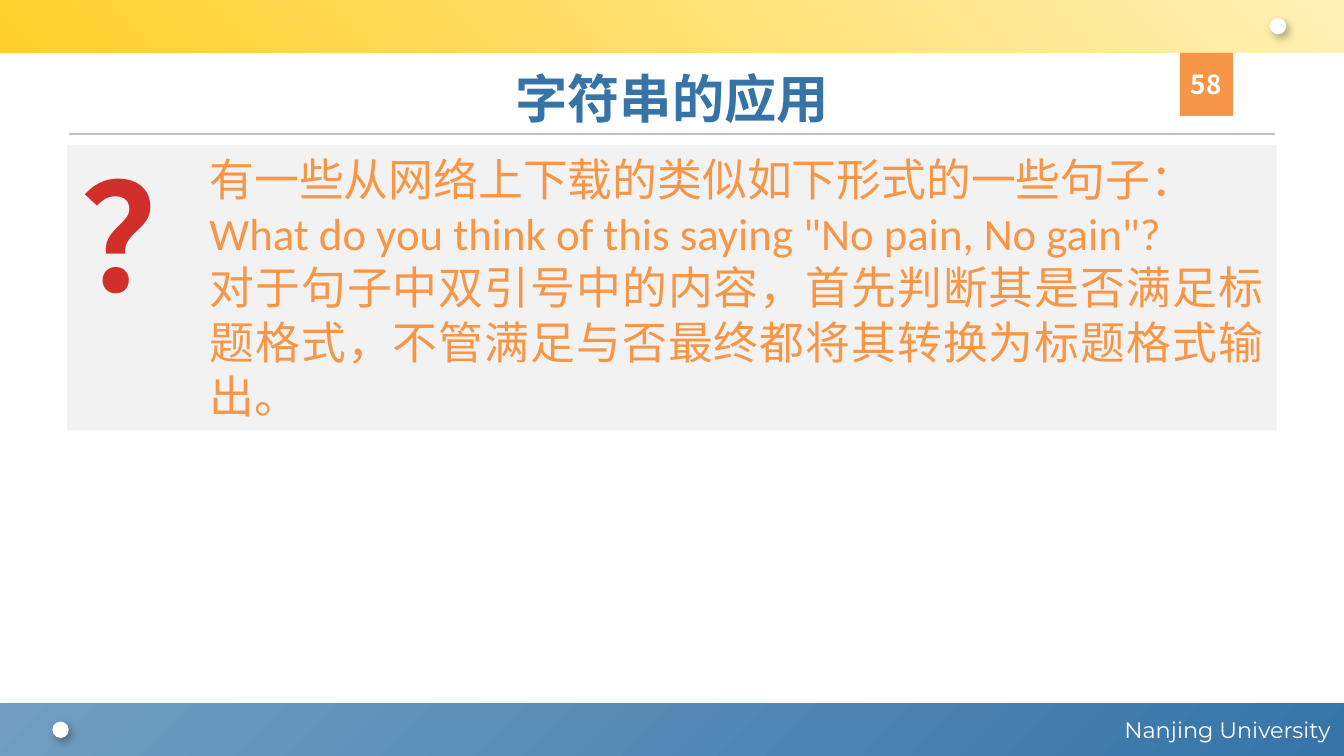
from lxml import etree
from pptx import Presentation
from pptx import util as u
from pptx.dml.color import RGBColor
from pptx.enum import shapes, text
from pptx.oxml import parse_xml
from pptx.oxml.ns import qn

# Content
TITLE = "字符串的应用"
PAGE = "58"
FOOTER = "Nanjing University"
QUESTION_MARK = "？"
CJK = "Noto Sans CJK SC"
BODY = [
    ("有一些从网络上下载的类似如下形式的一些句子：", CJK),
    ('What do you think of this saying "No pain, No gain"?', "Calibri"),
    ("对于句子中双引号中的内容，首先判断其是否满足标题格式，"
     "不管满足与否最终都将其转换为标题格式输出。", CJK),
]

COLORS = {
    "blue": "3674A8", "light blue": "719EC2",
    "yellow": "FFD02A", "light yellow": "FFF0B6",
    "orange": "F79646", "red": "D02F2C",
    "panel": "F2F2F2", "rule": "BFBFBF", "white": "FFFFFF",
}
ALIGN = text.PP_ALIGN

# Layout, in centimetres
WIDTH, HEIGHT = 25.4, 14.29
BAND = 1.0
MARGIN = 1.27
INNER = WIDTH - 2 * MARGIN
RULE_Y = 2.54
PANEL_TOP, PANEL_HEIGHT = 2.74, 5.39
BODY_LEFT = 3.71
DOT = 0.31


def color(name):
    return RGBColor.from_string(COLORS[name])


def box(*lengths):
    return [u.Cm(length) for length in lengths]


def add_shadow(shape, alpha, blur, distance, angle):
    effects = parse_xml(
        '<a:effectLst xmlns:a="http://schemas.openxmlformats.org/drawingml/2006/main">'
        f'<a:outerShdw blurRad="{u.Pt(blur)}" dist="{u.Pt(distance)}" dir="{angle * 60000}" '
        f'algn="tl" rotWithShape="0"><a:srgbClr val="000000"><a:alpha val="{alpha * 1000}"/>'
        '</a:srgbClr></a:outerShdw></a:effectLst>')
    properties = shape._element.spPr
    properties.remove(properties.find(qn("a:effectLst")))
    properties.append(effects)


def add_block(slide, kind, bounds, fill, angle=0):
    """Add a borderless shape; a pair of colour names gives a gradient."""
    shape = slide.shapes.add_shape(kind, *box(*bounds))
    shape.shadow.inherit = False
    shape.line.fill.background()
    if isinstance(fill, tuple):
        shape.fill.gradient()
        shape.fill.gradient_angle = angle
        for stop, name, position in zip(shape.fill.gradient_stops, fill, (0, 1)):
            stop.color.rgb = color(name)
            stop.position = position
    else:
        shape.fill.solid()
        shape.fill.fore_color.rgb = color(fill)
    return shape


def write(shape, content, font=CJK, size=24, fill="white", bold=False,
          align=ALIGN.CENTER, anchor=text.MSO_ANCHOR.MIDDLE, spacing=None):
    """Write one text, or a list of (text, font) paragraphs."""
    frame = shape.text_frame
    frame.word_wrap = True
    frame.auto_size = text.MSO_AUTO_SIZE.NONE
    frame.vertical_anchor = anchor
    paragraphs = [(content, font)] if isinstance(content, str) else content
    for index, (line, face) in enumerate(paragraphs):
        paragraph = frame.add_paragraph() if index else frame.paragraphs[0]
        paragraph.alignment = align
        if spacing:
            paragraph.line_spacing = u.Pt(spacing)
        run = paragraph.add_run()
        run.text = line
        run.font.size = u.Pt(size)
        run.font.bold = bold
        run.font.color.rgb = color(fill)
        run.font.name = face
        latin = run.font._element.find(qn("a:latin"))
        east_asian = etree.Element(qn("a:ea"), typeface=face)
        latin.addnext(east_asian)


def main():
    presentation = Presentation()
    presentation.slide_width, presentation.slide_height = box(WIDTH, HEIGHT)
    slide = presentation.slides.add_slide(presentation.slide_layouts[5])
    rectangle, oval = shapes.MSO_SHAPE.RECTANGLE, shapes.MSO_SHAPE.OVAL

    # Bands at the bottom and the top
    footer = add_block(slide, rectangle, (0, HEIGHT - BAND, WIDTH, BAND),
                       ("light blue", "blue"), angle=315)
    add_shadow(footer, 38, 3.1, 1.6, 90)
    write(footer, FOOTER, font="Montserrat", size=12, align=ALIGN.RIGHT)
    add_block(slide, rectangle, (0, 0, WIDTH, BAND), ("yellow", "light yellow"), angle=45)

    # Dots in the bands
    for left, top in ((24.0, 0.34), (0.99, 13.64)):
        dot = add_block(slide, oval, (left, top, DOT, DOT), "white")
        add_shadow(dot, 30, 4.5, 2.6, 53)

    # Rule under the title
    rule = slide.shapes.add_connector(shapes.MSO_CONNECTOR.STRAIGHT,
                                      *box(1.3, RULE_Y, WIDTH - 1.3, RULE_Y))
    rule.line.color.rgb = color("rule")
    rule.line.width = u.Pt(1)
    etree.SubElement(rule._element.spPr, qn("a:effectLst"))

    # Title and page number
    title = slide.shapes.title
    title.left, title.top, title.width, title.height = box(MARGIN, 1.14, INNER, 1.4)
    write(title, TITLE, size=28, fill="blue", bold=True)
    badge = add_block(slide, rectangle, (22.3, BAND, 1.0, 1.19), "orange")
    badge.text_frame.margin_left = badge.text_frame.margin_right = 0
    write(badge, PAGE, size=14, bold=True)

    # Question panel
    add_block(slide, rectangle, (MARGIN, PANEL_TOP, INNER, PANEL_HEIGHT), "panel")
    body = slide.shapes.add_textbox(
        *box(BODY_LEFT, PANEL_TOP, WIDTH - MARGIN - BODY_LEFT, PANEL_HEIGHT))
    write(body, BODY, fill="orange", align=ALIGN.JUSTIFY,
          anchor=text.MSO_ANCHOR.TOP, spacing=29)
    mark = slide.shapes.add_textbox(*box(MARGIN, RULE_Y, 3.0, 3.68))
    write(mark, QUESTION_MARK, size=80, fill="red", bold=True,
          anchor=text.MSO_ANCHOR.TOP, spacing=97)

    presentation.save("out.pptx")


if __name__ == "__main__":
    main()
